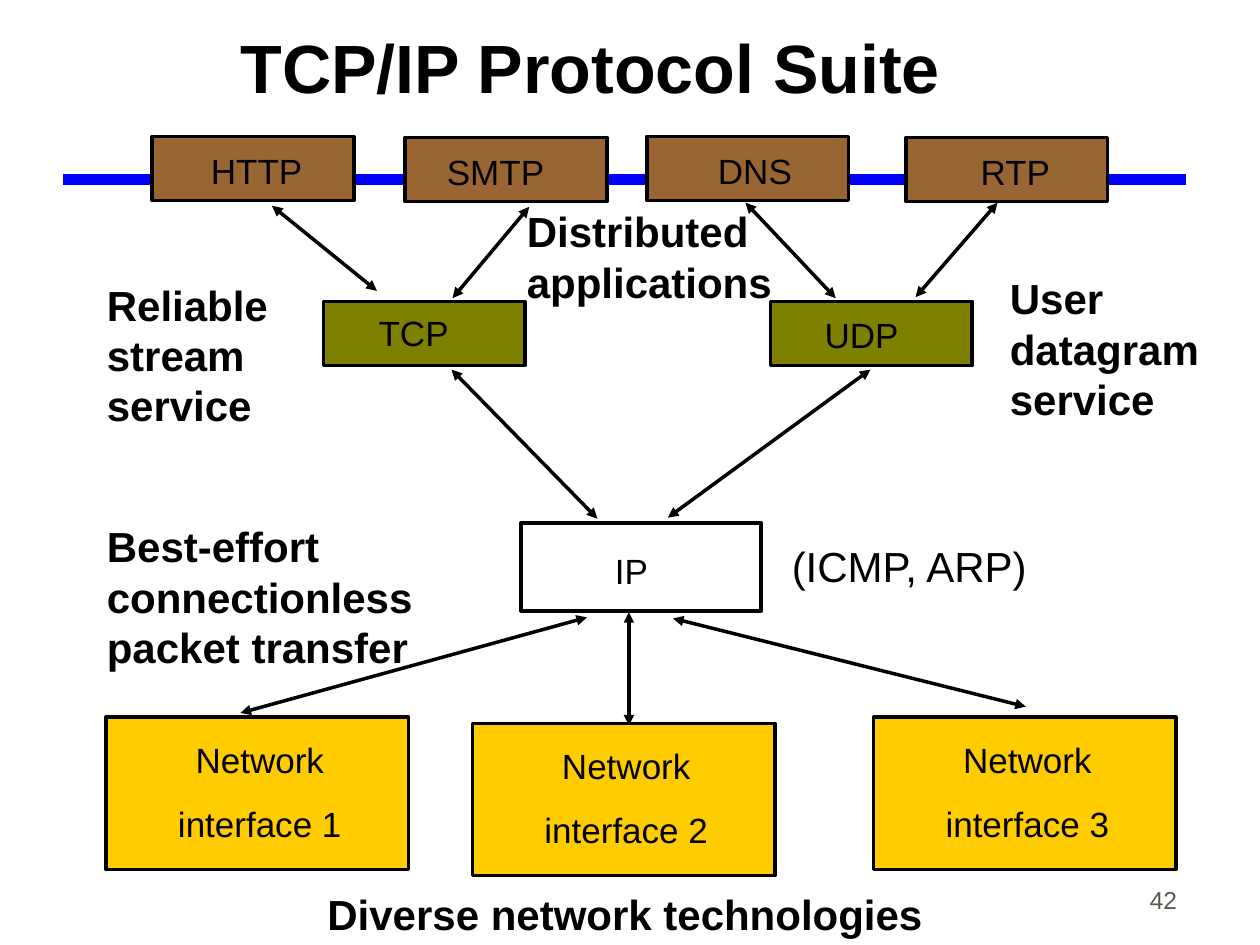
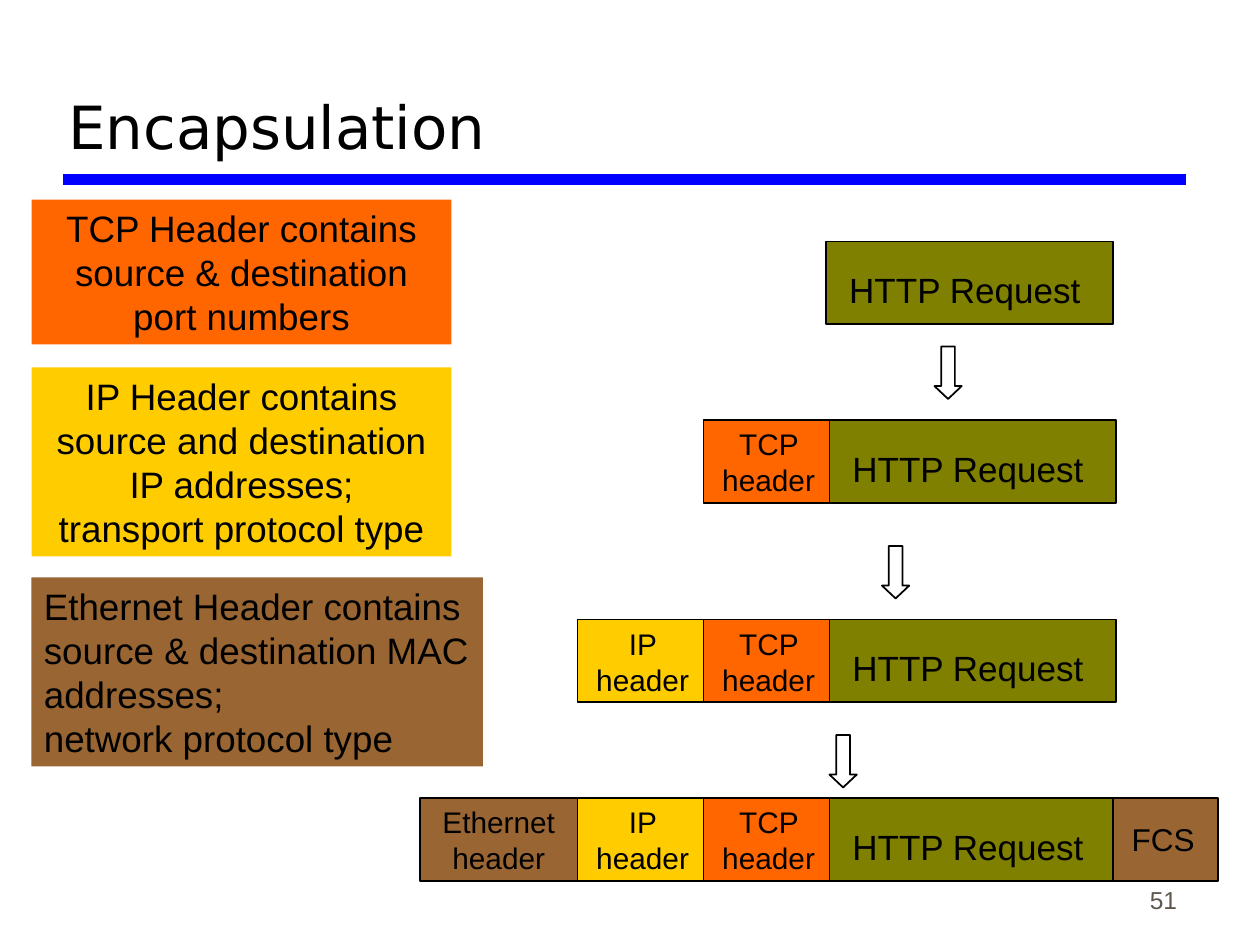
from lxml.etree import SubElement
from pptx import Presentation
from pptx.dml.color import RGBColor
from pptx.enum.shapes import MSO_CONNECTOR, MSO_SHAPE
from pptx.enum.text import MSO_ANCHOR, MSO_AUTO_SIZE, PP_ALIGN
from pptx.oxml.ns import qn
from pptx.util import Inches, Pt

HUES = {"ink": "000000", "band": "0000FF", "grey": "5E574E", "white": "FFFFFF",
        "brown": "996633", "olive": "808000", "gold": "FFCC00", "orange": "FF6600"}
LEFT, MID, RIGHT = PP_ALIGN.LEFT, PP_ALIGN.CENTER, PP_ALIGN.RIGHT
TOP, HALF, BASE = MSO_ANCHOR.TOP, MSO_ANCHOR.MIDDLE, MSO_ANCHOR.BOTTOM

# Grid of 120 columns by 90 rows
deck = Presentation()
deck.slide_width, deck.slide_height = Inches(10), Inches(7.5)
CELL = deck.slide_width / 120


def box(page, x, y, w, h, fill=None, edge=0, kind=MSO_SHAPE.RECTANGLE):
    """Add a shape, or a bare text box if it has neither fill nor edge."""
    area = [round(n * CELL) for n in (x, y, w, h)]
    if not fill and not edge:
        return page.shapes.add_textbox(*area)
    shape = page.shapes.add_shape(kind, *area)
    shape.shadow.inherit = False
    if fill:
        shape.fill.solid()
        shape.fill.fore_color.rgb = RGBColor.from_string(HUES[fill])
    else:
        shape.fill.background()
    if edge:
        shape.line.color.rgb = RGBColor.from_string(HUES["ink"])
        shape.line.width = Pt(edge)
    else:
        shape.line.fill.background()
    return shape


def write(shape, text, size, align=LEFT, anchor=TOP, bold=False, wrap=True,
          hue="ink", face="Arial", gap=0):
    """Fill a shape with evenly styled paragraphs."""
    frame = shape.text_frame
    frame.text = text
    frame.word_wrap = wrap
    frame.auto_size = MSO_AUTO_SIZE.NONE
    frame.vertical_anchor = anchor
    for i, para in enumerate(frame.paragraphs):
        para.alignment = align
        para.space_before = Pt(gap if i else 0)
        font = para.font
        font.name, font.size, font.bold = face, Pt(size), bold
        font.color.rgb = RGBColor.from_string(HUES[hue])


# Titles and page numbers
plain = deck.slide_layouts[5]
heads = [
    ("TCP/IP Protocol Suite", "42", (21.7, 1.8, 69.2, 9), 39, TOP, True, "Arial"),
    ("Encapsulation", "51", (5.3, 2, 107.6, 14), 34, BASE, False, "DejaVu Sans"),
]
for name, number, area, size, anchor, bold, face in heads:
    page = deck.slides.add_slide(plain)
    title = page.shapes.title
    title.left, title.top, title.width, title.height = [round(n * CELL) for n in area]
    write(title, name, size, LEFT, anchor, bold, wrap=not bold, face=face)
    write(box(page, 88.3, 81.7, 25, 6), number, 14, RIGHT, BASE, hue="grey")
suite, wrapped = deck.slides

# Band of the layout, then the arrows of the suite
band = (6, 17.1, 113, 17.1)
arrows = [
    (59.9, 69.1, 59.9, 58.3), (63.6, 49.3, 82.9, 35.2), (56.9, 49.4, 43, 35.2),
    (87.2, 28.3, 95, 19.3), (43.1, 28.4, 50.4, 19.7), (25.9, 19.6, 35.9, 27.7),
    (97.7, 67.3, 64.1, 58.9), (22.9, 67.9, 55.9, 58.8), (79.6, 28.4, 71, 19.3),
]
for ends in [band] + arrows:
    link = suite.shapes.add_connector(
        MSO_CONNECTOR.STRAIGHT, *[round(n * CELL) for n in ends])
    link.line.color.rgb = RGBColor.from_string(HUES["band" if ends == band else "ink"])
    link.line.width = Pt(6 if ends == band else 2)
    props = link.element.spPr
    if ends == band:
        plain.shapes.element.append(link.element)
    else:
        for tip in ("a:headEnd", "a:tailEnd"):
            SubElement(props.find(qn("a:ln")), qn(tip), type="triangle")
    SubElement(props, qn("a:effectLst"))

# Protocol boxes: name, corner, fill, then the label's corner and width
nodes = [
    ("HTTP", 14.5, 13, "brown", 18.2, 13.6, 12.5),
    ("SMTP", 38.6, 13.1, "brown", 41.4, 13.7, 11.6),
    ("DNS", 61.6, 13, "brown", 66.7, 13.6, 10.4),
    ("RTP", 86.3, 13.1, "brown", 92.2, 13.7, 9),
    ("TCP", 30.8, 28.7, "olive", 34.9, 29, 9),
    ("UDP", 73.4, 28.7, "olive", 77.3, 29.2, 9.5),
    ("IP", 49.6, 49.8, None, 57.4, 51.7, 5.5),
]
for name, x, y, fill, left, top, wide in nodes:
    w, h = (19.2, 6.1) if fill else (22.9, 8.4)
    box(suite, x, y, w, h, fill, 2)
    write(box(suite, left, top, wide, 5.3), name, 20, MID, HALF, wrap=False)

# Network interfaces
for i, (x, y) in enumerate([(10.1, 68.3), (45, 68.9), (83.2, 68.3)], 1):
    box(suite, x, y, 28.8, 14.5, "gold", 2)
    write(box(suite, x + 3, y + 1.4, 23.3, 11.3), f"Network\ninterface {i}",
          20, MID, HALF, gap=12.5)

# Remarks on the layers
notes = [
    ("Distributed applications", 49, 19, 31, 10.8),
    ("Reliable stream service", 9, 26, 24, 15.6),
    ("User\ndatagram service", 95, 25.4, 24, 15.6),
    ("Best-effort\nconnectionless packet transfer", 9, 49, 38.2, 15.6),
    ("Diverse network technologies", 30, 84, 62, 6),
]
for text, *area in notes:
    write(box(suite, *area), text, 24, bold=True)
write(box(suite, 73.9, 50.9, 25.4, 6), "(ICMP, ARP)", 24, MID, HALF, wrap=False)

# Header contents
cards = [
    ("TCP Header contains source & destination port numbers",
     19, 40, 13.8, "orange", MID),
    ("IP Header contains source and destination IP addresses;\vtransport protocol type",
     35, 40, 18, "gold", MID),
    ("Ethernet Header contains source & destination MAC addresses;\v"
     "network protocol type", 55, 43, 18, "brown", LEFT),
]
for text, y, w, h, fill, align in cards:
    write(box(wrapped, 3, y, w, h, fill), text, 21, align, HALF)

# Each row adds one header in front of the request
TALL = 7.9
parts = [("TCP header", 67, 12.4, "orange"), ("IP header", 55, 12.4, "gold"),
         ("Ethernet header", 40, 15, "brown")]
for i, y in enumerate([23, 40, 59, 76]):
    for text, x, w, fill in reversed(parts[:i]):
        write(box(wrapped, x, y, w, TALL, fill, 1), text, 17, MID)
    x = 79 if i else 78.7
    box(wrapped, x, y, 27.3, TALL, "olive", 1)
    write(box(wrapped, x + 1, y + 2, 24.5, 5.3), "HTTP Request", 20)

# Trailer of the last row
box(wrapped, 106, 76, 10, TALL, "brown", 1)
write(box(wrapped, 106.6, 77.5, 8.4, 4.8), "FCS", 18, wrap=False)

# Arrows between the rows
for x, y in [(89, 33), (84, 52), (79, 70)]:
    box(wrapped, x, y, 2.6, 5, "white", 1, MSO_SHAPE.DOWN_ARROW).adjustments[1] = 0.47

deck.save("out.pptx")
